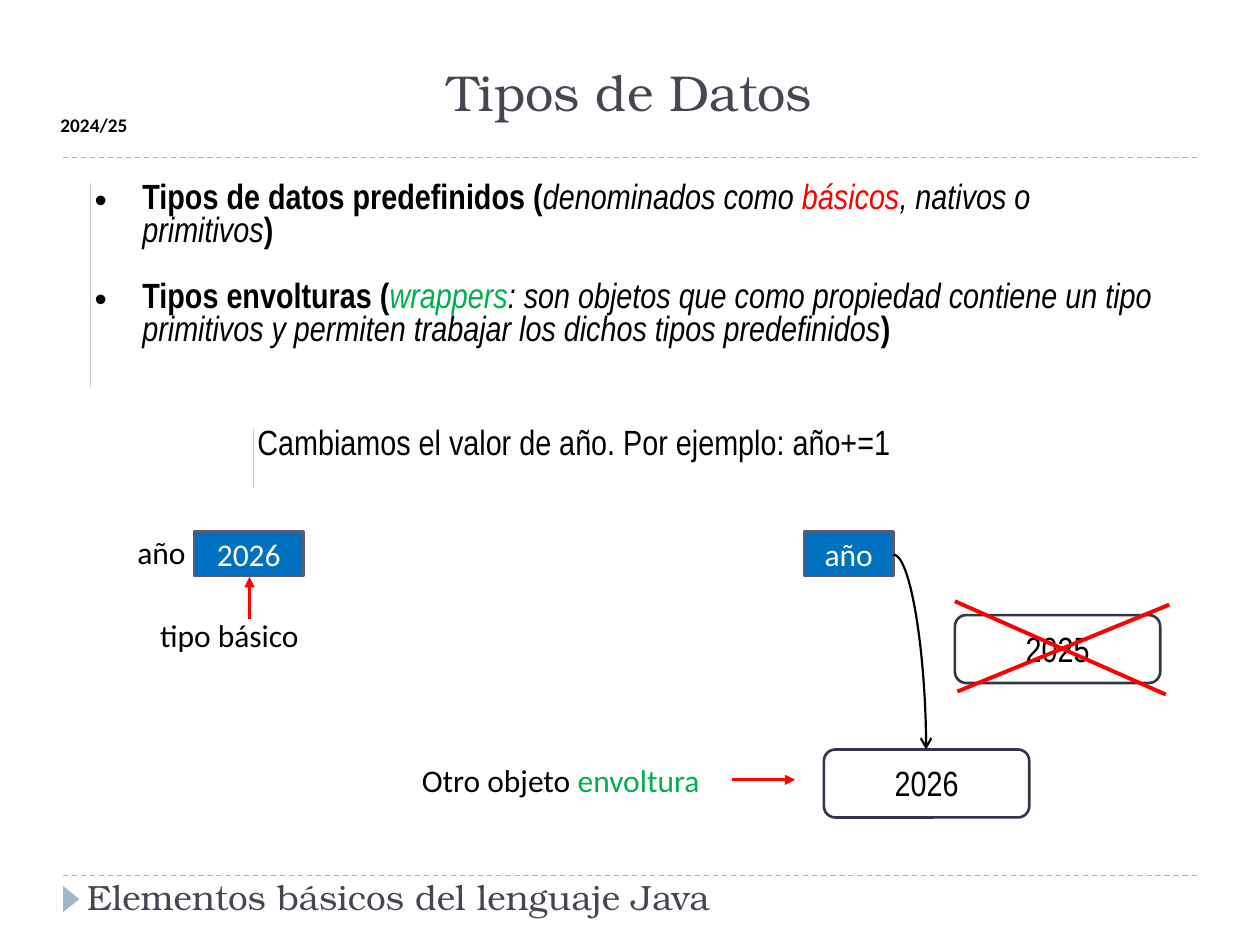
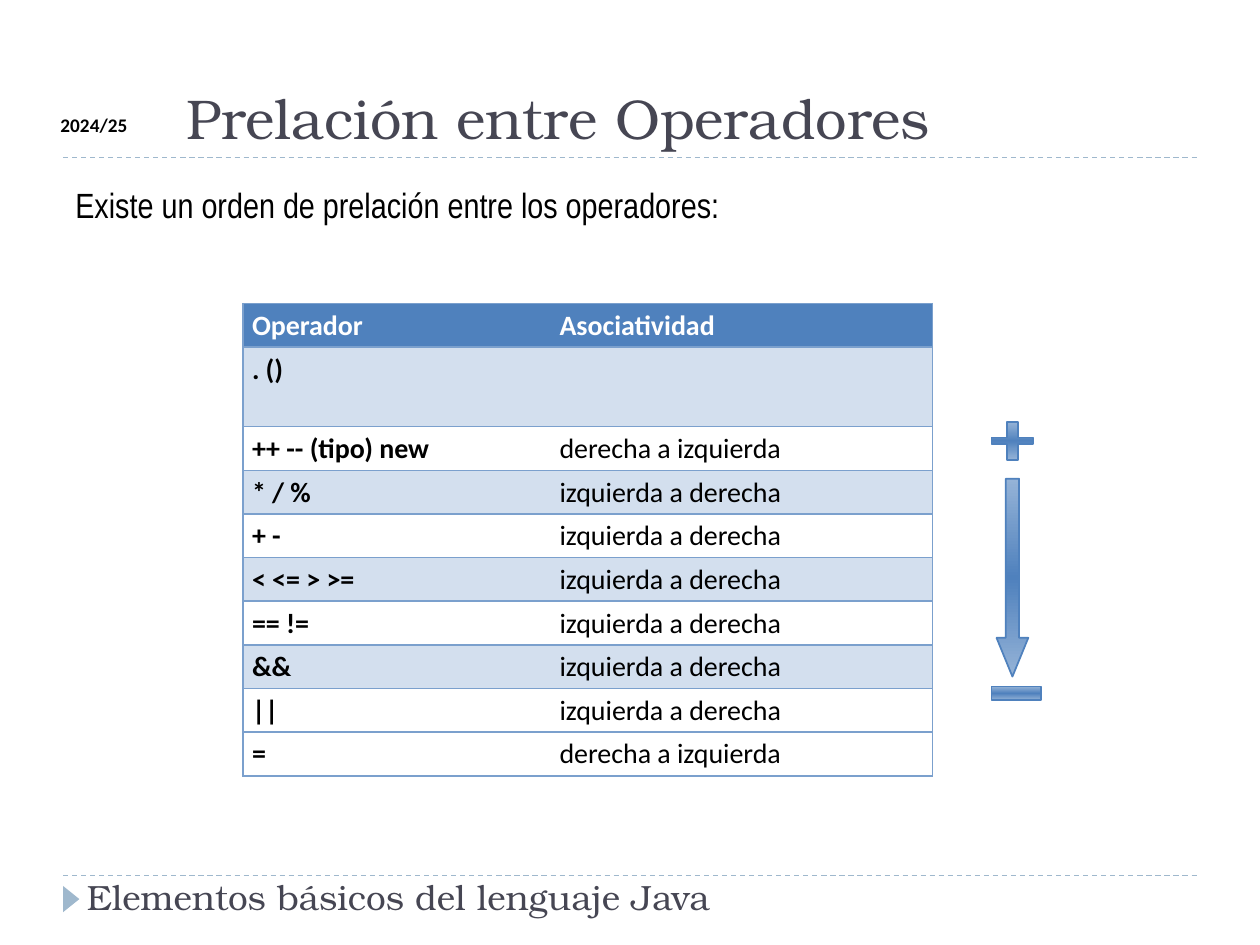
from copy import deepcopy
from lxml.etree import SubElement
from pptx import Presentation
from pptx.dml.color import RGBColor
from pptx.enum.dml import MSO_LINE
from pptx.enum.shapes import MSO_CONNECTOR, MSO_SHAPE
from pptx.enum.text import MSO_ANCHOR, MSO_AUTO_SIZE, PP_ALIGN
from pptx.oxml.ns import qn
from pptx.util import Cm, Pt

COLORS = {
    "title": "464653", "rule": "9FB8CD", "black": "000000", "white": "FFFFFF",
    "red": "FF0000", "green": "00B050", "blue": "0070C0", "box": "545C79",
    "object": "323647", "cell_edge": "CCCCCC", "grid": "7BA0CD",
    "header": "4F81BD", "band": "D3DFEE", "light": "95B3D7",
}
RGB = {name: RGBColor.from_string(value) for name, value in COLORS.items()}
SERIF, SANS, NARROW = "TeX Gyre Bonum", "Calibri", "Arial Narrow"
NO_STYLE = "{2D5ABB26-0587-4C30-8999-92F81FD0307C}"


def write(paragraph, pieces, font, size):
    for text, color, style in pieces:
        run = paragraph.add_run()
        run.text = text
        run.font.name = font
        run.font.size = Pt(size)
        run.font.bold = style == "bold"
        run.font.italic = style == "italic"
        run.font.color.rgb = RGB[color]


def draw_borders(cell, sides, color, width):
    properties = cell._tc.get_or_add_tcPr()
    for side in sides:
        border = SubElement(properties, qn(f"a:ln{side}"), w=str(Pt(width)))
        fill = SubElement(border, qn("a:solidFill"))
        SubElement(fill, qn("a:srgbClr"), val=COLORS[color])


presentation = Presentation()
presentation.slide_width = Cm(25.4)
presentation.slide_height = Cm(19.05)
title_only = presentation.slide_layouts[5]

connectors = []
titles = [
    ("Tipos de Datos", 28.8, PP_ALIGN.CENTER, (1.27, 1.35, 22.86, 1.22)),
    ("Prelación entre Operadores", 32, PP_ALIGN.LEFT, (3.51, 0.43, 20.62, 2.74)),
]
for text, size, alignment, place in titles:
    slide = presentation.slides.add_slide(title_only)
    title = slide.shapes.title
    title.left, title.top, title.width, title.height = map(Cm, place)
    title.text_frame.auto_size = MSO_AUTO_SIZE.NONE
    title.text_frame.vertical_anchor = MSO_ANCHOR.BOTTOM
    paragraph = title.text_frame.paragraphs[0]
    paragraph.alignment = alignment
    write(paragraph, [(text, "title", "")], SERIF, size)

    marker = slide.shapes.add_shape(
        MSO_SHAPE.ISOSCELES_TRIANGLE, Cm(1.17), Cm(17.96), Cm(0.53), Cm(0.33))
    marker.rotation = 90
    marker.shadow.inherit = False
    marker.fill.solid()
    marker.fill.fore_color.rgb = RGB["rule"]
    marker.line.fill.background()

    footer = slide.shapes.add_textbox(Cm(1.5), Cm(17.22), Cm(22.86), Cm(1.4))
    footer.text_frame.word_wrap = True
    footer.text_frame.vertical_anchor = MSO_ANCHOR.BOTTOM
    write(footer.text_frame.paragraphs[0],
          [("Elementos básicos del lenguaje Java", "title", "")], SERIF, 20)

    course = slide.shapes.add_textbox(Cm(0.97), Cm(2.16), Cm(1.93), Cm(0.74))
    course.text_frame.word_wrap = False
    write(course.text_frame.paragraphs[0], [("2024/25", "black", "bold")], SANS, 11)

    for y in (3.18, 17.65):
        connectors.append((slide, (1.27, y), (24.13, y), "rule", 0.75, None))

types_slide, operators_slide = presentation.slides

type_bullets = [
    [("Tipos de datos predefinidos (", "black", "bold"),
     ("denominados como ", "black", "italic"),
     ("básicos", "red", "italic"),
     (", nativos o primitivos", "black", "italic"),
     (")", "black", "bold")],
    [("Tipos envolturas (", "black", "bold"),
     ("wrappers", "green", "italic"),
     (": son objetos que como propiedad contiene un tipo primitivos y permiten "
      "trabajar los dichos tipos predefinidos", "black", "italic"),
     (")", "black", "bold")],
]
change_note = [[("Cambiamos el valor de año. Por ejemplo: año+=1", "black", "")]]
text_tables = [
    ((1.83, 3.68, 21.59, 3.4), type_bullets, True),
    ((5.11, 8.64, 14.05, 1.19), change_note, False),
]
for place, paragraphs, bulleted in text_tables:
    table = types_slide.shapes.add_table(1, 1, *map(Cm, place)).table
    table._tbl.tblPr[0].text = NO_STYLE
    table.first_row = table.horz_banding = False
    cell = table.cell(0, 0)
    cell.margin_left = cell.margin_right = Cm(0.08)
    cell.margin_top = cell.margin_bottom = Cm(0.03)
    draw_borders(cell, "L", "cell_edge", 0.5)
    cell.fill.background()
    for index, pieces in enumerate(paragraphs):
        frame = cell.text_frame
        paragraph = frame.add_paragraph() if index else frame.paragraphs[0]
        if bulleted:
            properties = paragraph._p.get_or_add_pPr()
            properties.set("marL", str(Cm(0.96)))
            properties.set("indent", str(-Cm(0.96)))
            SubElement(properties, qn("a:buFont"), typeface="Arial")
            SubElement(properties, qn("a:buChar"), char="•")
        if index:
            paragraph.space_before = Pt(19)
        write(paragraph, pieces, NARROW, 20)

labels = [
    ((7.85, 15.04, 6.91, 1.37), [("Otro objeto ", "black", ""), ("envoltura", "green", "")]),
    ((2.34, 10.74, 1.83, 0.79), [("año", "black", "")]),
    ((1.83, 12.12, 5.59, 1.37), [("tipo básico", "black", "")]),
]
variables = [
    ((16.21, 10.72, 1.8, 0.89), [("año", "white", "")]),
    ((3.91, 10.72, 2.21, 0.89), [("2026", "white", "")]),
]
objects = [
    ((19.25, 12.4, 4.14, 1.37), [("2025", "black", "")]),
    ((16.61, 15.11, 4.14, 1.37), [("2026", "black", "")]),
]
box_groups = [
    (labels, MSO_SHAPE.RECTANGLE, "white", None, SANS, 18),
    (variables, MSO_SHAPE.RECTANGLE, "blue", "box", SANS, 18),
    (objects, MSO_SHAPE.ROUNDED_RECTANGLE, None, "object", NARROW, 20),
]
for boxes, kind, fill, outline, font, size in box_groups:
    for place, pieces in boxes:
        shape = types_slide.shapes.add_shape(kind, *map(Cm, place))
        shape.shadow.inherit = False
        if fill:
            shape.fill.solid()
            shape.fill.fore_color.rgb = RGB[fill]
        else:
            shape.fill.background()
        if outline:
            shape.line.color.rgb = RGB[outline]
            shape.line.width = Pt(1.5)
        else:
            shape.line.fill.background()
        frame = shape.text_frame
        frame.word_wrap = True
        frame.vertical_anchor = MSO_ANCHOR.MIDDLE
        paragraph = frame.paragraphs[0]
        paragraph.alignment = PP_ALIGN.CENTER
        if kind == MSO_SHAPE.ROUNDED_RECTANGLE:
            frame.margin_left = frame.margin_right = 0
            frame.margin_top = frame.margin_bottom = 0
            paragraph.line_spacing = Pt(23)
        write(paragraph, pieces, font, size)

connectors += [
    (types_slide, (14.76, 15.72), (16.03, 15.72), "red", 1.5, "triangle"),
    (types_slide, (5.03, 12.47), (5.03, 11.63), "red", 1.5, "triangle"),
    (types_slide, (18.01, 11.18), (18.67, 15.11), "black", 1.25, "arrow"),
    (types_slide, (23.57, 12.19), (19.3, 13.94), "red", 2.25, None),
    (types_slide, (23.5, 14), (19.25, 12.12), "red", 2.25, None),
]
for slide, start, end, color, width, head in connectors:
    curved = head == "arrow"
    kind = MSO_CONNECTOR.CURVE if curved else MSO_CONNECTOR.STRAIGHT
    connector = slide.shapes.add_connector(kind, *map(Cm, start + end))
    connector.line.color.rgb = RGB[color]
    connector.line.width = Pt(width)
    properties = connector._element.spPr
    if curved:
        properties.find(qn("a:prstGeom")).set("prst", "curvedConnector2")
    if color == "rule":
        connector.line.dash_style = MSO_LINE.DASH
    if head:
        SubElement(properties.find(qn("a:ln")), qn("a:tailEnd"), type=head)
    SubElement(properties, qn("a:effectLst"))

intro = operators_slide.shapes.add_textbox(Cm(1.27), Cm(3.58), Cm(22.86), Cm(1.2))
intro.text_frame.word_wrap = True
write(intro.text_frame.paragraphs[0],
      [("Existe un orden de prelación entre los operadores:", "black", "")], NARROW, 20)

LEFT_TO_RIGHT, RIGHT_TO_LEFT = "izquierda a derecha", "derecha a izquierda"
precedence = [
    ("Operador", "Asociatividad"),
    (". ()", ""),
    ("++ -- (tipo) new", RIGHT_TO_LEFT),
    ("* / %", LEFT_TO_RIGHT),
    ("+ -", LEFT_TO_RIGHT),
    ("< <= > >=", LEFT_TO_RIGHT),
    ("== !=", LEFT_TO_RIGHT),
    ("&&", LEFT_TO_RIGHT),
    ("||", LEFT_TO_RIGHT),
    ("=", RIGHT_TO_LEFT),
]
table = operators_slide.shapes.add_table(
    len(precedence), 2, Cm(4.9), Cm(6.12), Cm(13.9), Cm(9.52)).table
table._tbl.tblPr[0].text = NO_STYLE
table.horz_banding = False
table.columns[0].width = Cm(6.2)
table.columns[1].width = Cm(7.7)
for row, texts in enumerate(precedence):
    table.rows[row].height = Cm(1.6 if row == 1 else 0.88)
    for column, text in enumerate(texts):
        cell = table.cell(row, column)
        cell.margin_left = cell.margin_right = Cm(0.18)
        cell.margin_top = cell.margin_bottom = 0
        draw_borders(cell, "RTB" if column else "LTB", "grid", 1)
        if row == 0 or row in range(1, 9, 2):
            cell.fill.solid()
            cell.fill.fore_color.rgb = RGB["band" if row else "header"]
        else:
            cell.fill.background()
        if text:
            paragraph = cell.text_frame.paragraphs[0]
            paragraph.line_spacing = 1.15
            paragraph.space_after = Pt(6)
            color = "black" if row else "white"
            style = "" if row and column else "bold"
            write(paragraph, [(text, color, style)], SANS, 16)

priority_scale = [
    (MSO_SHAPE.DOWN_ARROW, (20.09, 9.65, 0.64, 3.99), (0.42, 1.22)),
    (MSO_SHAPE.CROSS, (19.99, 8.51, 0.84, 0.76), (0.41,)),
    (MSO_SHAPE.RECTANGLE, (19.99, 13.84, 0.99, 0.28), ()),
]
for kind, place, adjustments in priority_scale:
    shape = operators_slide.shapes.add_shape(kind, *map(Cm, place))
    shape.shadow.inherit = False
    for index, value in enumerate(adjustments):
        shape.adjustments[index] = value
    shape.fill.gradient()
    shape.fill.gradient_angle = 90
    stops = shape._element.spPr.find(".//" + qn("a:gsLst"))
    stops.append(deepcopy(stops[0]))
    for index, color in enumerate(("light", "header", "light")):
        stop = shape.fill.gradient_stops[index]
        stop.position = index / 2
        stop.color.rgb = RGB[color]
    shape.line.color.rgb = RGB["header"]
    shape.line.width = Pt(1)

presentation.save("out.pptx")
